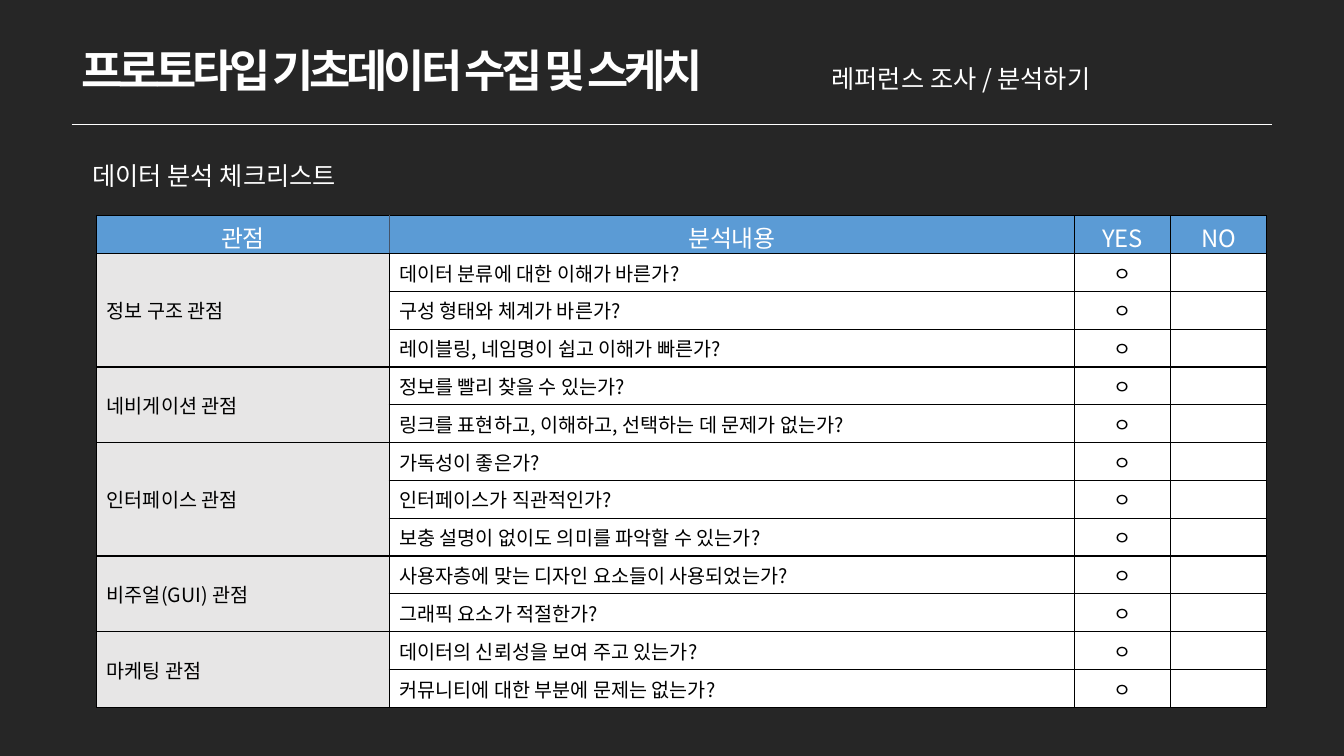
"""Build the data analysis checklist slide for prototype research."""
from dataclasses import dataclass

from lxml.etree import SubElement
from pptx import Presentation
from pptx.dml.color import RGBColor
from pptx.enum.shapes import MSO_CONNECTOR
from pptx.enum.text import MSO_ANCHOR, MSO_AUTO_SIZE, PP_ALIGN
from pptx.oxml.ns import qn
from pptx.util import Inches, Pt


@dataclass(frozen=True)
class Theme:
    font: str = "Noto Sans CJK KR"
    background: str = "262626"
    light: str = "FFFFFF"
    dark: str = "000000"
    header: str = "5B9BD5"
    category: str = "E7E6E6"
    divider: str = "44546A"
    title_size: int = 32
    label_size: int = 18
    header_size: int = 17
    body_size: int = 14


theme = Theme()
deck = Presentation()
deck.slide_width, deck.slide_height = Inches(13.33), Inches(7.5)
slide = deck.slides.add_slide(deck.slide_layouts[6])
slide.background.fill.solid()
slide.background.fill.fore_color.rgb = RGBColor.from_string(theme.background)


def place(*percents):
    """Turn alternating shares of slide width and height into lengths."""
    sides = (deck.slide_width, deck.slide_height) * 2
    return [int(side * percent / 100) for side, percent in zip(sides, percents)]


def style(paragraph, size, color, bold=False):
    """Set the font of a paragraph for Latin and Korean text."""
    font = paragraph.font
    font.size, font.bold, font.name = Pt(size), bold, theme.font
    font.color.rgb = RGBColor.from_string(color)
    SubElement(font._rPr, qn("a:ea"), typeface=theme.font)
    return font


headings = [
    ("프로토타입 기초데이터 수집 및 스케치", (5.33, 4.93, 60.69, 8.53), theme.title_size, True),
    ("레퍼런스 조사 / 분석하기", (61.14, 7.73, 23.18, 5.33), theme.label_size, False),
    ("데이터 분석 체크리스트", (6.15, 20.53, 21.83, 5.33), theme.label_size, False),
]
for words, area, size, is_title in headings:
    frame = slide.shapes.add_textbox(*place(*area)).text_frame
    frame.word_wrap = is_title
    frame.auto_size = MSO_AUTO_SIZE.SHAPE_TO_FIT_TEXT
    frame.text = words
    font = style(frame.paragraphs[0], size, theme.light, is_title)
    if is_title:
        font._rPr.set("spc", "-300")

rule = slide.shapes.add_connector(MSO_CONNECTOR.STRAIGHT, *place(5.33, 16.4, 94.67, 16.4))
rule.line.color.rgb = RGBColor.from_string(theme.light)
rule.line.width = Pt(0.5)
SubElement(rule._element.spPr, qn("a:effectLst"))

header = ["관점", "분석내용", "YES", "NO"]
checklist = {
    "정보 구조 관점": [
        "데이터 분류에 대한 이해가 바른가?",
        "구성 형태와 체계가 바른가?",
        "레이블링, 네임명이 쉽고 이해가 빠른가?",
    ],
    "네비게이션 관점": [
        "정보를 빨리 찾을 수 있는가?",
        "링크를 표현하고, 이해하고, 선택하는 데 문제가 없는가?",
    ],
    "인터페이스 관점": [
        "가독성이 좋은가?",
        "인터페이스가 직관적인가?",
        "보충 설명이 없이도 의미를 파악할 수 있는가?",
    ],
    "비주얼(GUI) 관점": [
        "사용자층에 맞는 디자인 요소들이 사용되었는가?",
        "그래픽 요소가 적절한가?",
    ],
    "마케팅 관점": [
        "데이터의 신뢰성을 보여 주고 있는가?",
        "커뮤니티에 대한 부분에 문제는 없는가?",
    ],
}
rows = [header]
spans = []
for category, questions in checklist.items():
    spans.append((len(rows), len(rows) + len(questions) - 1))
    for index, question in enumerate(questions):
        rows.append([category if index == 0 else "", question, "ㅇ", ""])

table = slide.shapes.add_table(len(rows), len(header), *place(7.2, 28.53, 87.02, 65.07)).table
table.first_row = table.horz_banding = False
for column, share in zip(table.columns, (21.76, 51.01, 7.13, 7.13)):
    column.width = int(deck.slide_width * share / 100)

for r, row in enumerate(rows):
    for c, words in enumerate(row):
        cell = table.cell(r, c)
        is_header = r == 0
        cell.text = words
        cell.vertical_anchor = MSO_ANCHOR.MIDDLE
        cell.margin_top = Inches(0.04 if is_header else 0)
        cell.margin_bottom = 0
        paragraph = cell.text_frame.paragraphs[0]
        paragraph.alignment = PP_ALIGN.CENTER if is_header or c > 1 else PP_ALIGN.LEFT
        style(
            paragraph,
            theme.header_size if is_header else theme.body_size,
            theme.light if is_header else theme.dark,
        )
        for side in ("lnL", "lnR", "lnT", "lnB"):
            is_divider = is_header and (c, side) in ((0, "lnR"), (1, "lnL"))
            border = SubElement(
                cell._tc.get_or_add_tcPr(), qn(f"a:{side}"), w=str(Pt(0.5 if is_divider else 1))
            )
            paint = SubElement(border, qn("a:solidFill"))
            SubElement(paint, qn("a:srgbClr"), val=theme.divider if is_divider else theme.dark)
        cell.fill.solid()
        body_fill = theme.category if c == 0 else theme.light
        cell.fill.fore_color.rgb = RGBColor.from_string(theme.header if is_header else body_fill)

for first, last in spans:
    table.cell(first, 0).merge(table.cell(last, 0))

deck.save("out.pptx")
